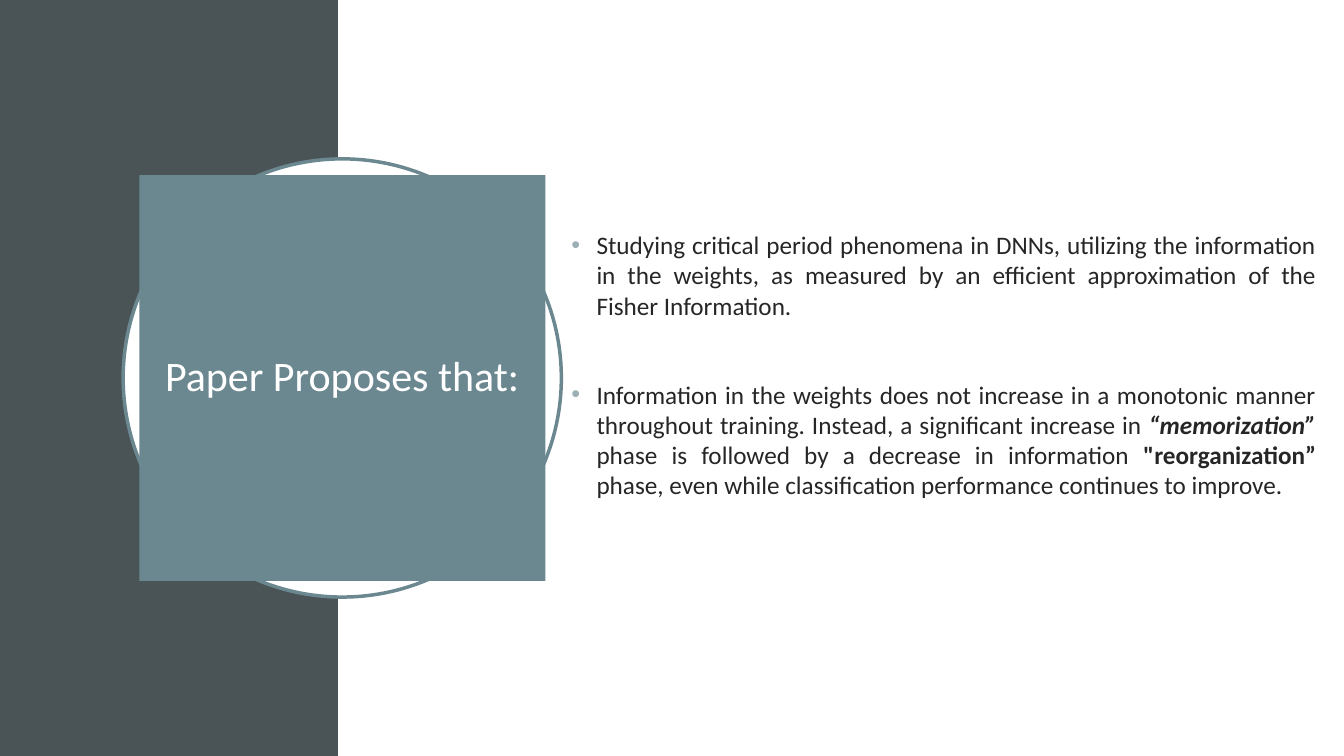
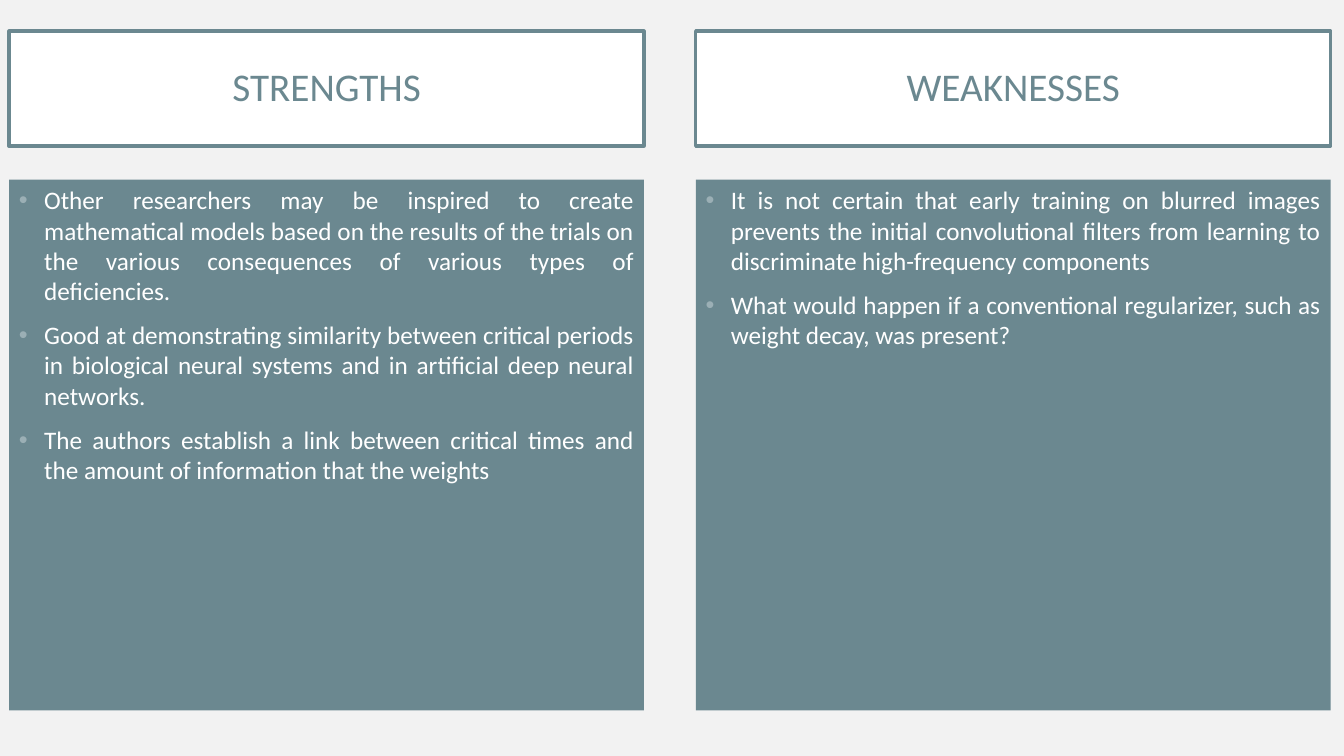
import pptx
import pptx.util
import pptx.dml.color
import pptx.enum.shapes
import pptx.enum.text
import pptx.oxml.ns
import lxml.etree

Pt = pptx.util.Pt
SHAPE = pptx.enum.shapes.MSO_SHAPE
ALIGN = pptx.enum.text.PP_ALIGN
ANCHOR = pptx.enum.text.MSO_ANCHOR

SLIDE_W, SLIDE_H = 960, 540
FONT = "Calibri"
COLORS = {
    "band": "4A5356",
    "teal": "6B8890",
    "bullet": "9BAFB5",
    "ink": "262626",
    "white": "FFFFFF",
    "mist": "F2F2F2",
}

# Shared formats
TITLE_FRAME = {
    "word_wrap": True, "vertical_anchor": ANCHOR.MIDDLE,
    "margin_left": Pt(14.4), "margin_right": Pt(14.4),
    "margin_top": Pt(14.4), "margin_bottom": Pt(14.4),
}
BODY_FRAME = {
    "word_wrap": True, "vertical_anchor": ANCHOR.TOP,
    "margin_left": Pt(7.2), "margin_right": Pt(7.2),
    "margin_top": Pt(3.6), "margin_bottom": Pt(3.6),
}
# The deeper bottom margin lifts the centred statement
STATEMENT_FRAME = {**BODY_FRAME, "vertical_anchor": ANCHOR.MIDDLE,
                   "margin_bottom": Pt(21.6)}
TITLE_PARAGRAPH = {"alignment": ALIGN.CENTER, "line_spacing": 0.9}


def apply(target, values):
    for name, value in values.items():
        setattr(target, name, value)


def rgb(color):
    return pptx.dml.color.RGBColor.from_string(COLORS[color])


def add_panel(slide, box, fill, outline=None, kind=SHAPE.RECTANGLE):
    panel = slide.shapes.add_shape(kind, *map(Pt, box))
    panel.shadow.inherit = False
    panel.fill.solid()
    panel.fill.fore_color.rgb = rgb(fill)
    if outline:
        panel.line.color.rgb = rgb(outline)
        panel.line.width = Pt(2.5)
    else:
        panel.line.fill.background()
    return panel


def add_run(paragraph, text, size, color, **emphasis):
    run = paragraph.add_run()
    run.text = text
    apply(run.font, {"name": FONT, "size": Pt(size), **emphasis})
    run.font.color.rgb = rgb(color)


def write_title(panel, text, size, color):
    apply(panel.text_frame, TITLE_FRAME)
    paragraph = panel.text_frame.paragraphs[0]
    apply(paragraph, TITLE_PARAGRAPH)
    add_run(paragraph, text, size, color)


def set_bullet(paragraph):
    properties = paragraph._p.get_or_add_pPr()
    properties.set("marL", str(Pt(18)))
    properties.set("indent", str(-Pt(18)))
    qn = pptx.oxml.ns.qn
    bullet_color = lxml.etree.SubElement(properties, qn("a:buClr"))
    lxml.etree.SubElement(bullet_color, qn("a:srgbClr"), val=COLORS["bullet"])
    lxml.etree.SubElement(properties, qn("a:buFont"), typeface="Arial")
    lxml.etree.SubElement(properties, qn("a:buChar"), char="•")


def write_bullets(panel, items, color, frame, gap):
    """Each item is a list of (text, emphasis) pairs."""
    apply(panel.text_frame, frame)
    for index, item in enumerate(items):
        paragraph = (panel.text_frame.add_paragraph() if index
                     else panel.text_frame.paragraphs[0])
        apply(paragraph, {"alignment": ALIGN.JUSTIFY,
                          "space_before": Pt(gap if index else 0)})
        set_bullet(paragraph)
        for text, emphasis in item:
            add_run(paragraph, text, 18, color, **emphasis)


def new_slide(deck, background):
    slide = deck.slides.add_slide(deck.slide_layouts[6])
    slide.background.fill.solid()
    slide.background.fill.fore_color.rgb = rgb(background)
    return slide


def add_emblem(slide, box, title):
    """Ring with a title square centred in it."""
    left, top, width, height = box
    inset = 11.5
    add_panel(slide, box, "white", "teal", SHAPE.OVAL)
    square = add_panel(slide, (left + inset, top + inset,
                               width - 2 * inset, height - 2 * inset), "teal")
    write_title(square, title, 30, "white")


def add_column(slide, box, heading, points):
    """Framed heading above a filled list panel."""
    left, top, width, height = box
    heading_h, gap = 82, 24
    list_top = top + heading_h + gap
    list_panel = add_panel(
        slide, (left, list_top, width, top + height - list_top), "teal")
    write_bullets(list_panel, [[(point, {})] for point in points],
                  "white", BODY_FRAME, 10)
    heading_panel = add_panel(slide, (left, top, width, heading_h), "white", "teal")
    write_title(heading_panel, heading, 28, "teal")


def build_proposal(deck):
    slide = new_slide(deck, "white")
    band_w = 241.6
    add_panel(slide, (0, 0, band_w, SLIDE_H), "band")
    add_panel(slide, (band_w, 0, SLIDE_W - band_w, SLIDE_H), "white")
    add_emblem(slide, (88, 113.5, 313, 313), "Paper Proposes that:")

    # Statement
    statement = slide.shapes.add_textbox(*map(Pt, (401, 110, 546.2, 319)))
    write_bullets(statement, [
        [("Studying critical period phenomena in DNNs, utilizing the information "
          "in the weights, as measured by an efficient approximation of the "
          "Fisher Information.", {})],
        [("Information in the weights does not increase in a monotonic manner "
          "throughout training. Instead, a significant increase in ", {}),
         ("“memorization” ", {"bold": True, "italic": True}),
         ("phase is followed by a decrease in information ", {}),
         ("\"reorganization” ", {"bold": True}),
         ("phase, even while classification performance continues to improve.",
          {})],
    ], "ink", STATEMENT_FRAME, 42)


def build_review(deck):
    slide = new_slide(deck, "mist")
    columns = {
        "STRENGTHS": [
            "Other researchers may be inspired to create mathematical models based "
            "on the results of the trials on the various consequences of various "
            "types of deficiencies.",
            "Good at demonstrating similarity between critical periods in biological "
            "neural systems and in artificial deep neural networks.",
            "The authors establish a link between critical times and the amount of "
            "information that the weights",
        ],
        "WEAKNESSES": [
            "It is not certain that early training on blurred images prevents the "
            "initial convolutional filters from learning to discriminate "
            "high-frequency components",
            "What would happen if a conventional regularizer, such as weight decay, "
            "was present?",
        ],
    }
    first_left, column_w, gutter = 6.5, 453.5, 37
    for index, (heading, points) in enumerate(columns.items()):
        left = first_left + index * (column_w + gutter)
        add_column(slide, (left, 22.3, column_w, 485.2), heading, points)


def main():
    deck = pptx.Presentation()
    apply(deck, {"slide_width": Pt(SLIDE_W), "slide_height": Pt(SLIDE_H)})
    build_proposal(deck)
    build_review(deck)
    deck.save("out.pptx")


if __name__ == "__main__":
    main()
